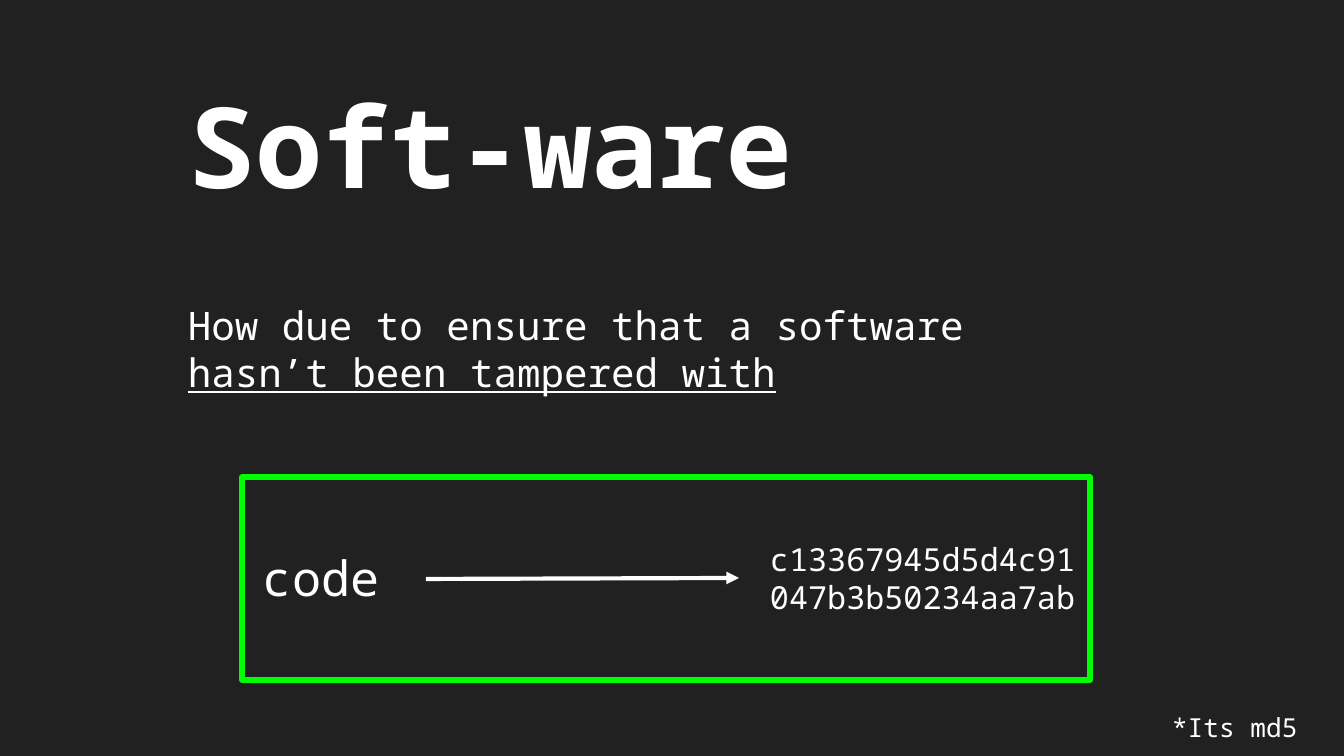
"""Build the slide on checking software integrity with a hash."""
from lxml.etree import SubElement
from pptx import Presentation
from pptx.dml.color import RGBColor
from pptx.enum.shapes import MSO_CONNECTOR as CONN, MSO_SHAPE as SHAPE
from pptx.enum.text import MSO_ANCHOR as ANCHOR, MSO_AUTO_SIZE as AUTO, PP_ALIGN as ALIGN
from pptx.oxml.ns import qn
from pptx.util import Pt

PX = 914400 / 134.4
WIDTH, HEIGHT = 1344, 756
INSET = 13
FONT = "Noto Sans Mono"
DARK = RGBColor(0x21, 0x21, 0x21)
WHITE = RGBColor(0xFF, 0xFF, 0xFF)
GREEN = RGBColor(0x00, 0xFF, 0x00)

TITLE = ((175, 63, 923, 161), [("Soft-ware", {"size": Pt(60), "bold": True})])
TEXTS = [
    ((175, 288, 964, 121), [
        ("How due to ensure that a software ", {"size": Pt(21)}),
        ("hasn’t been tampered with", {"size": Pt(21), "underline": True}),
    ]),
    ((250, 535, 151, 85), [("code", {"size": Pt(26)})]),
    ((757, 527, 339, 103), [("c13367945d5d4c91047b3b50234aa7ab", {"size": Pt(17)})]),
    ((1159, 698, 218, 58), [("*Its md5", {"size": Pt(14)})]),
]
ARROW = (426, 579, 739, 578)
FRAME = (242, 477, 848, 203)


def emu(*lengths):
    return [round(n * PX) for n in lengths]


def set_attrs(obj, values):
    for name, value in values.items():
        setattr(obj, name, value)


def fill_text(sp, runs):
    tf = sp.text_frame
    margins = {f"margin_{side}": emu(INSET)[0] for side in ("left", "top", "right", "bottom")}
    set_attrs(tf, {"word_wrap": True, "auto_size": AUTO.NONE,
                   "vertical_anchor": ANCHOR.TOP, **margins})
    p = tf.paragraphs[0]
    p.alignment = ALIGN.LEFT
    for text, style in runs:
        r = p.add_run()
        r.text = text
        set_attrs(r.font, {"name": FONT, **style})
        r.font.color.rgb = WHITE


def set_line(sp, color, width):
    sp.line.color.rgb = color
    sp.line.width = Pt(width)
    return sp.line._get_or_add_ln()


def main():
    prs = Presentation()
    prs.slide_width, prs.slide_height = emu(WIDTH, HEIGHT)
    slide = prs.slides.add_slide(prs.slide_layouts[5])
    slide.background.fill.solid()
    slide.background.fill.fore_color.rgb = DARK
    shapes = slide.shapes

    box, runs = TITLE
    set_attrs(shapes.title, dict(zip(("left", "top", "width", "height"), emu(*box))))
    fill_text(shapes.title, runs)
    for box, runs in TEXTS:
        fill_text(shapes.add_textbox(*emu(*box)), runs)

    arrow = shapes.add_connector(CONN.STRAIGHT, *emu(*ARROW))
    SubElement(set_line(arrow, WHITE, 2.25), qn("a:tailEnd"), type="triangle")
    SubElement(arrow._element.spPr, qn("a:effectLst"))

    frame = shapes.add_shape(SHAPE.RECTANGLE, *emu(*FRAME))
    frame.shadow.inherit = False
    frame.fill.background()
    SubElement(set_line(frame, GREEN, 3), qn("a:round"))

    prs.save("out.pptx")


if __name__ == "__main__":
    main()
